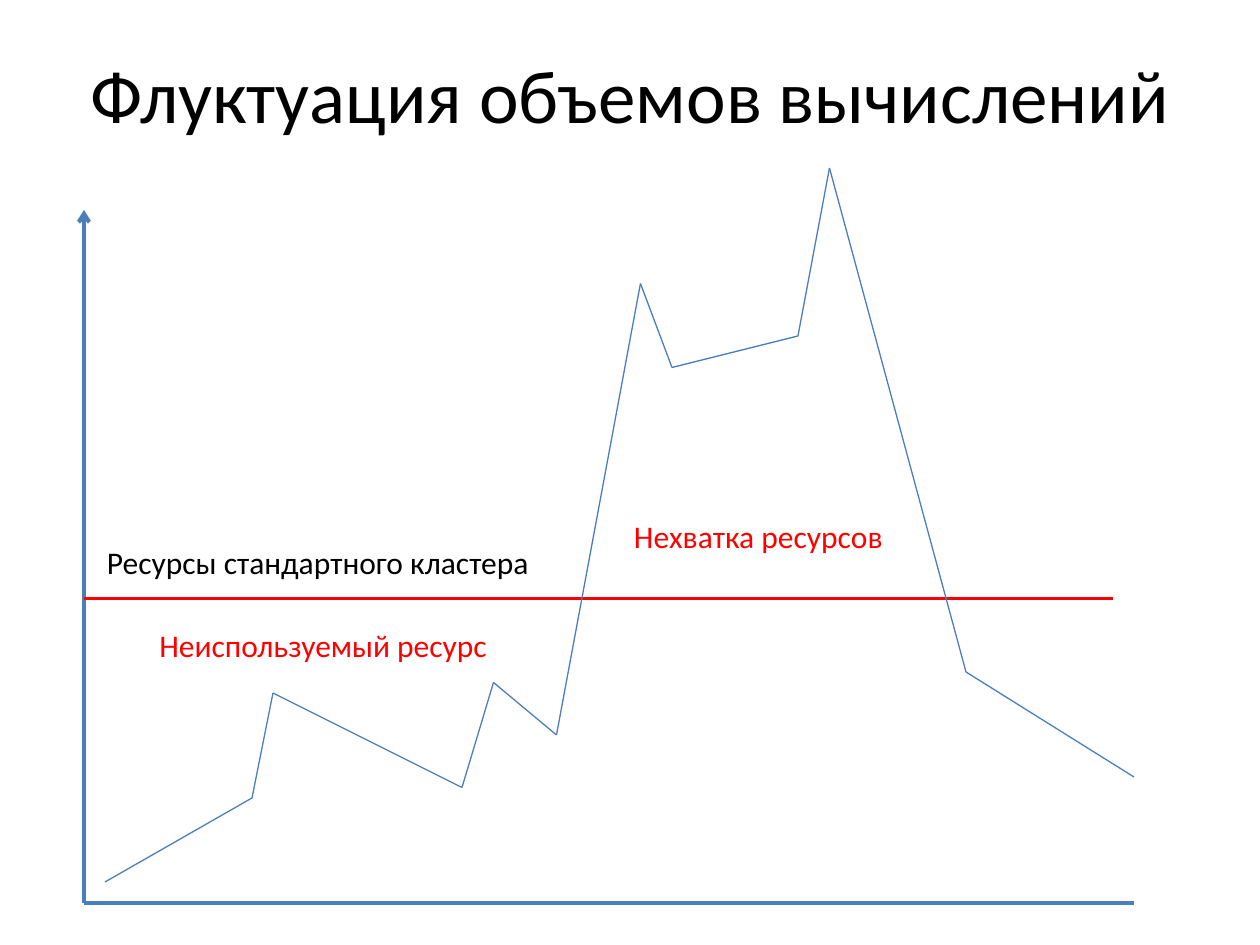
from itertools import pairwise
from typing import NamedTuple

from lxml import etree
from pptx import Presentation
from pptx.dml.color import RGBColor
from pptx.enum.shapes import MSO_CONNECTOR
from pptx.enum.text import MSO_ANCHOR, MSO_AUTO_SIZE, PP_ALIGN
from pptx.oxml.ns import qn
from pptx.slide import Slide
from pptx.util import Emu, Pt

STRAIGHT = MSO_CONNECTOR.STRAIGHT
TOP = MSO_ANCHOR.TOP
FIT_SHAPE, FIXED = MSO_AUTO_SIZE.SHAPE_TO_FIT_TEXT, MSO_AUTO_SIZE.NONE
CENTER, LEFT = PP_ALIGN.CENTER, PP_ALIGN.LEFT

EMU_PER_PX = 7620  # 120 px to the inch
BLUE, RED, BLACK = "4B7EBC", "FF0000", "000000"
FONT = "Calibri"


class Point(NamedTuple):
    x: int
    y: int


class Line(NamedTuple):
    start: Point
    end: Point
    color: str
    width: float
    arrow: bool = False


class Label(NamedTuple):
    text: str
    left: int
    top: int
    width: int
    height: int = 48
    color: str = BLACK
    size: float = 18
    is_title: bool = False


ORIGIN = Point(80, 860)
LOAD = [Point(*position) for position in (
    (100, 840), (240, 760), (260, 660), (440, 750), (470, 650), (530, 700),
    (610, 270), (640, 350), (760, 320), (790, 160), (920, 640), (1080, 740),
)]
LINES = [
    Line(ORIGIN, Point(80, 200), BLUE, 2.25, arrow=True),
    Line(ORIGIN, Point(1080, 860), BLUE, 2.25),
    Line(Point(80, 570), Point(1060, 570), RED, 1.5),
    *(Line(start, end, BLUE, 0.75) for start, end in pairwise(LOAD)),
]
LABELS = [
    Label("Ресурсы стандартного кластера", 90, 511, 432),
    Label("Неиспользуемый ресурс", 140, 590, 340, color=RED),
    Label("Нехватка ресурсов", 592, 487, 264, color=RED),
    Label("Флуктуация объемов вычислений", 30, 36, 1140, 150,
          size=42.9, is_title=True),
]


def px(value: int) -> Emu:
    return Emu(value * EMU_PER_PX)


def rgb(color: str) -> RGBColor:
    return RGBColor.from_string(color)


def draw_line(slide: Slide, line: Line) -> None:
    connector = slide.shapes.add_connector(
        STRAIGHT, *(px(value) for value in (*line.start, *line.end)))
    connector.line.color.rgb = rgb(line.color)
    connector.line.width = Pt(line.width)
    properties = connector._element.spPr
    if line.arrow:
        outline = properties.find(qn("a:ln"))
        etree.SubElement(outline, qn("a:tailEnd"), type="arrow")
    etree.SubElement(properties, qn("a:effectLst"))


def draw_label(slide: Slide, label: Label) -> None:
    box = slide.shapes.add_textbox(
        px(label.left), px(label.top), px(label.width), px(label.height))
    frame_format = {
        "word_wrap": label.is_title,
        "auto_size": FIXED if label.is_title else FIT_SHAPE,
        "vertical_anchor": TOP,
        "margin_top": px(10 if label.is_title else 6),
    }
    for name, value in frame_format.items():
        setattr(box.text_frame, name, value)
    paragraph = box.text_frame.paragraphs[0]
    paragraph.alignment = CENTER if label.is_title else LEFT
    run = paragraph.add_run()
    run.text = label.text
    for name, value in {"name": FONT, "size": Pt(label.size)}.items():
        setattr(run.font, name, value)
    run.font.color.rgb = rgb(label.color)


def main() -> None:
    presentation = Presentation()
    presentation.slide_width, presentation.slide_height = px(1200), px(900)
    slide = presentation.slides.add_slide(presentation.slide_layouts[6])
    for line in LINES:
        draw_line(slide, line)
    for label in LABELS:
        draw_label(slide, label)
    presentation.save("out.pptx")


if __name__ == "__main__":
    main()
